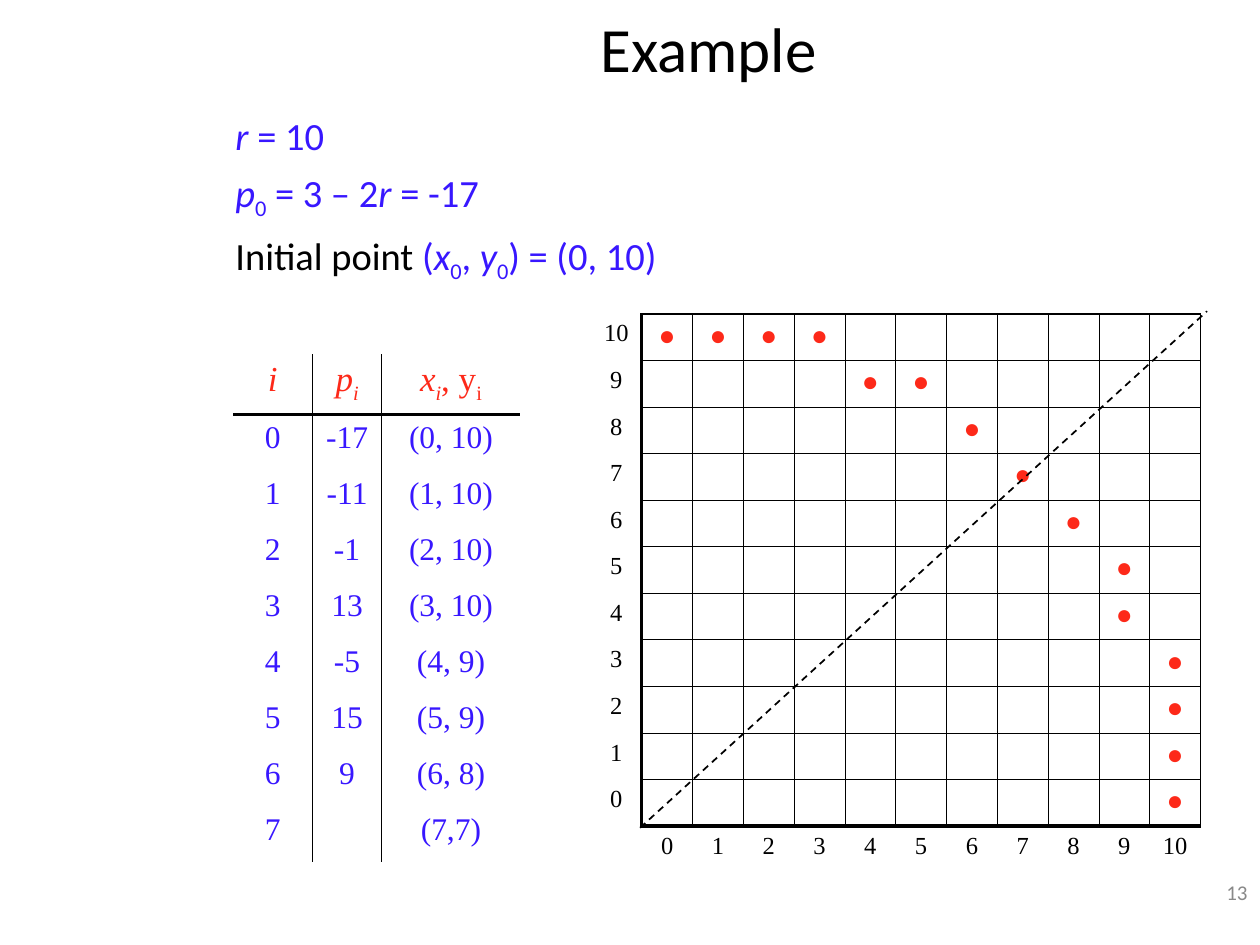
"""Build the circle-drawing example slide: formulas, a step table and a pixel grid."""
from dataclasses import dataclass

from lxml.etree import SubElement
from pptx import Presentation
from pptx.dml.color import RGBColor as Color
from pptx.enum.dml import MSO_LINE
from pptx.enum.shapes import MSO_CONNECTOR as Connector
from pptx.enum.text import MSO_ANCHOR as Anchor, PP_ALIGN as Align
from pptx.oxml.ns import qn
from pptx.util import Inches, Pt


@dataclass(frozen=True)
class Theme:
    sans: str = "Calibri"
    serif: str = "Times New Roman"
    black: str = "000000"
    blue: str = "3817FF"
    red: str = "FD2919"
    gray: str = "898989"
    title: int = 36
    body: int = 22
    header: int = 20
    step: int = 18
    dot: int = 16
    axis: int = 14
    number: int = 12
    thin: float = 0.5
    medium: float = 1
    thick: float = 2.25


THEME = Theme()
WIDTH, HEIGHT = 10, 7.5
RADIUS = 10

FORMULAS = [
    [("r ", "italic"), ("= 10", "")],
    [("p", "italic"), ("0", "sub"), (" = 3 – 2", ""), ("r ", "italic"), ("= -17", "")],
    [("Initial point ", "black"), ("(", ""), ("x", "italic"), ("0", "sub"), (", ", ""),
     ("y", "italic"), ("0", "sub"), (") = (0, 10)", "")],
]
STEP_HEADER = [
    [("i", "italic")],
    [("p", "italic"), ("i", "italic sub")],
    [("x", "italic"), ("i", "italic sub"), (", y", ""), ("i", "sub")],
]
STEPS = [
    ("0", "-17", "(0, 10)"), ("1", "-11", "(1, 10)"), ("2", "-1", "(2, 10)"),
    ("3", "13", "(3, 10)"), ("4", "-5", "(4, 9)"), ("5", "15", "(5, 9)"),
    ("6", "9", "(6, 8)"), ("7", "", "(7,7)"),
]
OCTANT = [(0, 10), (1, 10), (2, 10), (3, 10), (4, 9), (5, 9), (6, 8), (7, 7)]
PIXELS = set(OCTANT) | {(y, x) for x, y in OCTANT} | {(8, 6)}
PIXELS -= {(6, 8), (8, 6)} - {(6, 8), (8, 6)}

TITLE_PLACE = (1.5, 0.05, 8.25, 0.65)
FORMULA_PLACE = (1.77, 0.84, 7.78, 1.42)
NUMBER_PLACE = (7.92, 6.83, 2.08, 0.5)
GRID_PLACE = (4.69, 2.49, 4.84, 4.44)
STEP_PLACE = (1.85, 2.81, 2.28, 4)
STEP_SHARES = (0.63, 0.55, 1.1)
DIAGONAL = (5.08, 6.57, 9.58, 2.47)


def add_runs(para, runs, font, size, color):
    for text, marks in runs:
        span = para.add_run()
        span.text = text
        span.font.name, span.font.size = font, Pt(size)
        span.font.italic = "italic" in marks
        span.font.color.rgb = Color.from_string(THEME.black if "black" in marks else color)
        if "sub" in marks:
            span.font._element.set("baseline", "-25000")


def add_text(slide, place, paragraphs, size, color, align=Align.LEFT, anchor=Anchor.TOP):
    frame = slide.shapes.add_textbox(*map(Inches, place)).text_frame
    frame.word_wrap, frame.vertical_anchor = True, anchor
    for index, runs in enumerate(paragraphs):
        para = frame.add_paragraph() if index else frame.paragraphs[0]
        para.alignment = align
        para.space_before = Pt(6 if index else 0)
        add_runs(para, runs, THEME.sans, size, color)


def set_borders(cell, left, right, top, bottom):
    properties = cell._tc.get_or_add_tcPr()
    for side, width in zip("LRTB", (left, right, top, bottom)):
        line = SubElement(properties, qn(f"a:ln{side}"), w=str(Pt(width)))
        if width:
            fill = SubElement(line, qn("a:solidFill"))
            SubElement(fill, qn("a:srgbClr"), val=THEME.black)
        else:
            SubElement(line, qn("a:noFill"))


def add_table(slide, place, shares, rows, vertical, horizontal, side_margin):
    left, top, width, height = place
    frame = slide.shapes.add_table(len(rows), len(shares), *map(Inches, place))
    table = frame.table
    table.first_row = table.horz_banding = False
    for column, share in zip(table.columns, shares):
        column.width = Inches(width * share / sum(shares))
    for r, row in enumerate(rows):
        table.rows[r].height = Inches(height / len(rows))
        for c, (runs, size, color) in enumerate(row):
            cell = table.cell(r, c)
            cell.margin_left = cell.margin_right = Inches(side_margin)
            set_borders(cell, vertical(r, c), vertical(r, c + 1),
                        horizontal(r, c), horizontal(r + 1, c))
            cell.fill.background()
            para = cell.text_frame.paragraphs[0]
            para.alignment = Align.CENTER
            add_runs(para, runs, THEME.serif, size, color)
            if not runs:
                SubElement(para._p, qn("a:endParaRPr"), sz=str(size * 100))


def add_grid(slide):
    last = RADIUS + 1

    def label(value):
        return [(str(value), "")], THEME.axis, THEME.black

    def pixel(x, y):
        return [("●", "")] if (x, y) in PIXELS else [], THEME.dot, THEME.red

    def vertical(row, line):
        if row == last or line == 0:
            return 0
        return {1: THEME.thick, last + 1: THEME.medium}.get(line, THEME.thin)

    def horizontal(line, column):
        if column == 0 or line == last + 1:
            return 0
        return {0: THEME.medium, last: THEME.thick}.get(line, THEME.thin)

    rows = [[label(y)] + [pixel(x, y) for x in range(last)] for y in range(RADIUS, -1, -1)]
    rows.append([([], THEME.axis, THEME.black)] + [label(x) for x in range(last)])
    add_table(slide, GRID_PLACE, [1] * (last + 1), rows, vertical, horizontal, 0.05)


def add_steps(slide):
    rows = [[(runs, THEME.header, THEME.red) for runs in STEP_HEADER]]
    rows += [[([(text, "")] if text else [], THEME.step, THEME.blue) for text in step]
             for step in STEPS]
    add_table(slide, STEP_PLACE, STEP_SHARES, rows,
              lambda row, line: THEME.medium if line in (1, 2) else 0,
              lambda line, column: THEME.thick if line == 1 else 0, 0.1)


def add_diagonal(slide):
    line = slide.shapes.add_connector(Connector.STRAIGHT, *map(Inches, DIAGONAL))
    line.line.color.rgb = Color.from_string(THEME.black)
    line.line.width = Pt(THEME.medium)
    line.line.dash_style = MSO_LINE.DASH
    SubElement(line._element.spPr, qn("a:effectLst"))


def main():
    deck = Presentation()
    deck.slide_width, deck.slide_height = Inches(WIDTH), Inches(HEIGHT)
    slide = deck.slides.add_slide(deck.slide_layouts[6])
    add_text(slide, NUMBER_PLACE, [[("13", "")]], THEME.number, THEME.gray,
             Align.RIGHT, Anchor.MIDDLE)
    add_text(slide, TITLE_PLACE, [[("Example", "")]], THEME.title, THEME.black,
             Align.CENTER, Anchor.MIDDLE)
    add_grid(slide)
    add_steps(slide)
    add_text(slide, FORMULA_PLACE, FORMULAS, THEME.body, THEME.blue)
    add_diagonal(slide)
    deck.save("out.pptx")


if __name__ == "__main__":
    main()
